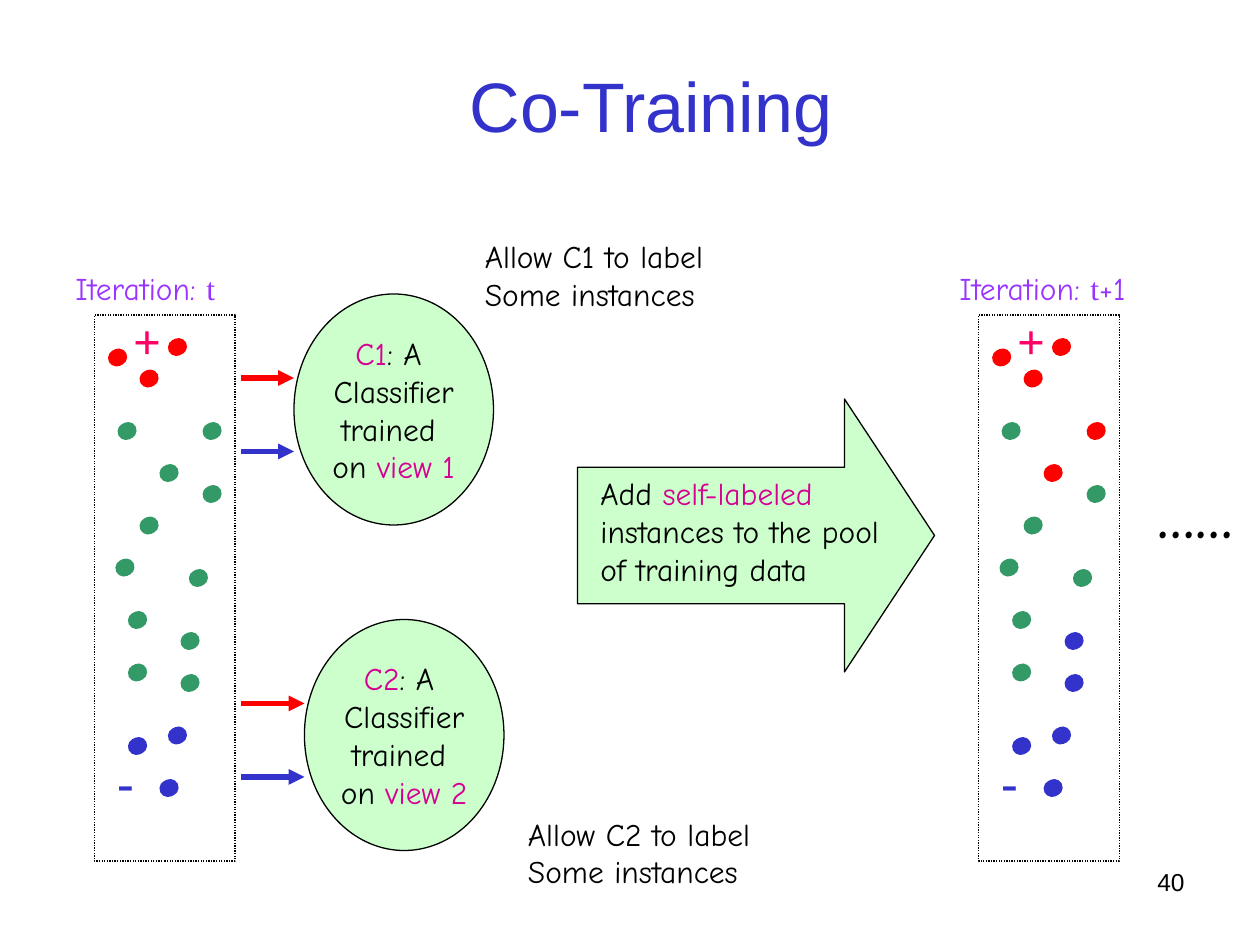
from typing import NamedTuple

from lxml import etree
from pptx import Presentation
from pptx.dml.color import RGBColor
from pptx.enum.dml import MSO_LINE
from pptx.enum.shapes import MSO_CONNECTOR, MSO_SHAPE
from pptx.enum.text import MSO_ANCHOR, MSO_AUTO_SIZE, PP_ALIGN
from pptx.oxml.ns import qn
from pptx.util import Emu, Pt

RECT, OVAL, RIGHT_ARROW = MSO_SHAPE.RECTANGLE, MSO_SHAPE.OVAL, MSO_SHAPE.RIGHT_ARROW
STRAIGHT = MSO_CONNECTOR.STRAIGHT
DOTTED = MSO_LINE.ROUND_DOT
TOP, MIDDLE = MSO_ANCHOR.TOP, MSO_ANCHOR.MIDDLE
GROW, FIXED = MSO_AUTO_SIZE.SHAPE_TO_FIT_TEXT, MSO_AUTO_SIZE.NONE
LEFT, CENTER, RIGHT = PP_ALIGN.LEFT, PP_ALIGN.CENTER, PP_ALIGN.RIGHT

PX = 7620
SANS, HAND, SERIF = "Arial", "Comic Neue", "Times New Roman"
BLACK, RED, BLUE, GREEN = "000000", "FF0000", "3333CC", "339966"
MAGENTA, PURPLE, PINK, MINT = "D60093", "9933FF", "FF0066", "CCFFCC"


class Run(NamedTuple):
    text: str
    color: str = BLACK
    font: str = HAND
    size: int = 18
    bold: bool = False


class Box(NamedTuple):
    x: int
    y: int
    w: int
    h: int


class Dot(NamedTuple):
    x: int
    y: int
    color: str
    next_color: str


class Classifier(NamedTuple):
    number: int
    x: int
    y: int
    note: Box


Lines = list[list[Run]]

DOTS = [
    Dot(113, 340, RED, RED),
    Dot(143, 360, RED, RED),
    Dot(170, 330, RED, RED),
    Dot(170, 700, BLUE, BLUE),
    Dot(162, 750, BLUE, BLUE),
    Dot(132, 710, BLUE, BLUE),
    Dot(143, 500, GREEN, GREEN),
    Dot(190, 550, GREEN, GREEN),
    Dot(120, 540, GREEN, GREEN),
    Dot(122, 410, GREEN, GREEN),
    Dot(203, 470, GREEN, GREEN),
    Dot(162, 450, GREEN, RED),
    Dot(203, 410, GREEN, RED),
    Dot(132, 590, GREEN, GREEN),
    Dot(182, 650, GREEN, BLUE),
    Dot(182, 610, GREEN, BLUE),
    Dot(132, 640, GREEN, GREEN),
]
CLASSIFIERS = [
    Classifier(1, 280, 280, Box(450, 220, 242, 84)),
    Classifier(2, 290, 590, Box(491, 770, 246, 84)),
]
POOL_STEP = 842


def px(n: int) -> Emu:
    return Emu(n * PX)


def rgb(color: str) -> RGBColor:
    return RGBColor.from_string(color)


def write(s, lines: Lines, align=LEFT, anchor=TOP, wrap=True, auto=FIXED) -> None:
    tf = s.text_frame
    tf.word_wrap = wrap
    tf.auto_size = auto
    tf.vertical_anchor = anchor
    for i, runs in enumerate(lines):
        p = tf.paragraphs[0] if i == 0 else tf.add_paragraph()
        p.alignment = align
        for run in runs:
            r = p.add_run()
            r.text = run.text
            r.font.name = run.font
            r.font.size = Pt(run.size)
            r.font.bold = run.bold
            r.font.color.rgb = rgb(run.color)


def add_text(slide, box: Box, lines: Lines, **layout) -> None:
    write(slide.shapes.add_textbox(*map(px, box)), lines, **layout)


def add_outlined(slide, kind, box: Box, fill: str | None = None):
    s = slide.shapes.add_shape(kind, *map(px, box))
    s.shadow.inherit = False
    if fill:
        s.fill.solid()
        s.fill.fore_color.rgb = rgb(fill)
    else:
        s.fill.background()
    s.line.color.rgb = rgb(BLACK)
    s.line.width = Pt(0.75)
    return s


def add_line(slide, x1: int, y1: int, x2: int, y2: int, color: str,
             width: float, ends: dict[str, str]) -> None:
    c = slide.shapes.add_connector(STRAIGHT, px(x1), px(y1), px(x2), px(y2))
    c.line.color.rgb = rgb(color)
    c.line.width = Pt(width)
    ln = c.line._get_or_add_ln()
    for tag, kind in ends.items():
        etree.SubElement(ln, qn(tag), type=kind)
    etree.SubElement(c._element.spPr, qn("a:effectLst"))


def add_pool(slide, dx: int, suffix: str, advanced: bool) -> None:
    frame = add_outlined(slide, RECT, Box(90 + dx, 300, 134, 520))
    frame.line.dash_style = DOTTED
    for d in DOTS:
        add_line(slide, d.x + dx, d.y, d.x + dx - 2, d.y + 1,
                 d.next_color if advanced else d.color, 3.25,
                 {"a:headEnd": "oval", "a:tailEnd": "oval"})
    label = [Run("Iteration: ", PURPLE), Run("t", PURPLE, SERIF)]
    if suffix:
        label.append(Run(suffix, PURPLE))
    add_text(slide, Box(60 + dx, 250, 253, 48), [label], auto=GROW)
    for sign, color, x, y in (("+", PINK, 115, 290), ("-", BLUE, 100, 710)):
        add_text(slide, Box(x + dx, y, 65, 68),
                 [[Run(sign, color, SERIF, 28, True)]], auto=GROW)


def add_classifier(slide, c: Classifier) -> None:
    s = add_outlined(slide, OVAL, Box(c.x, c.y, 190, 220), MINT)
    write(s, [
        [Run(f"C{c.number}", MAGENTA), Run(": A ")],
        [Run("Classifier")],
        [Run("trained ")],
        [Run("on "), Run(f"view {c.number}", MAGENTA)],
    ], align=CENTER, anchor=MIDDLE, wrap=False)
    for dy, color in ((150, BLUE), (80, RED)):
        add_line(slide, 230, c.y + dy, c.x, c.y + dy, color, 3,
                 {"a:tailEnd": "triangle"})
    add_text(slide, c.note,
             [[Run(f"Allow C{c.number} to label")], [Run("Some instances")]],
             wrap=False, auto=GROW)


def main() -> None:
    prs = Presentation()
    prs.slide_width, prs.slide_height = px(1200), px(900)
    slide = prs.slides.add_slide(prs.slide_layouts[6])

    add_text(slide, Box(860, 820, 280, 62), [[Run("40", BLACK, SANS, 14)]], align=RIGHT)
    add_text(slide, Box(110, 60, 1020, 80), [[Run("Co-Training", BLUE, SANS, 40)]],
             align=CENTER, anchor=MIDDLE)

    add_pool(slide, 0, "", False)
    add_pool(slide, POOL_STEP, "+1", True)
    add_text(slide, Box(1091, 454, 95, 77), [[Run("……", size=32, bold=True)]],
             wrap=False, auto=GROW)

    for c in CLASSIFIERS:
        add_classifier(slide, c)

    arrow = add_outlined(slide, RIGHT_ARROW, Box(550, 380, 340, 260), MINT)
    arrow.adjustments[0] = 0.5
    arrow.adjustments[1] = 0.33
    add_text(slide, Box(560, 446, 301, 120), [
        [Run("Add "), Run("self-labeled", MAGENTA)],
        [Run("instances to the pool")],
        [Run("of training data")],
    ], wrap=False, auto=GROW)

    prs.save("out.pptx")


if __name__ == "__main__":
    main()
